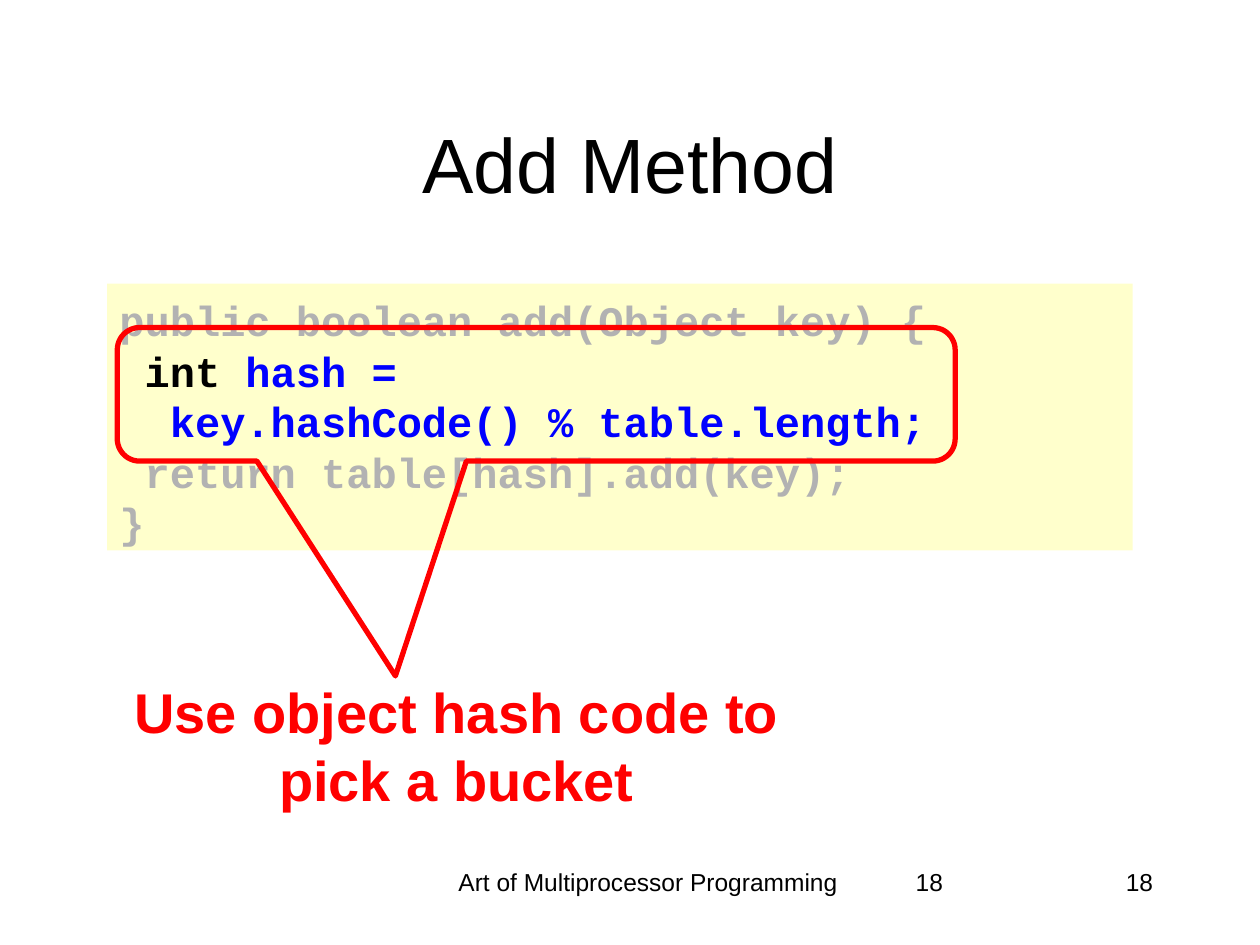
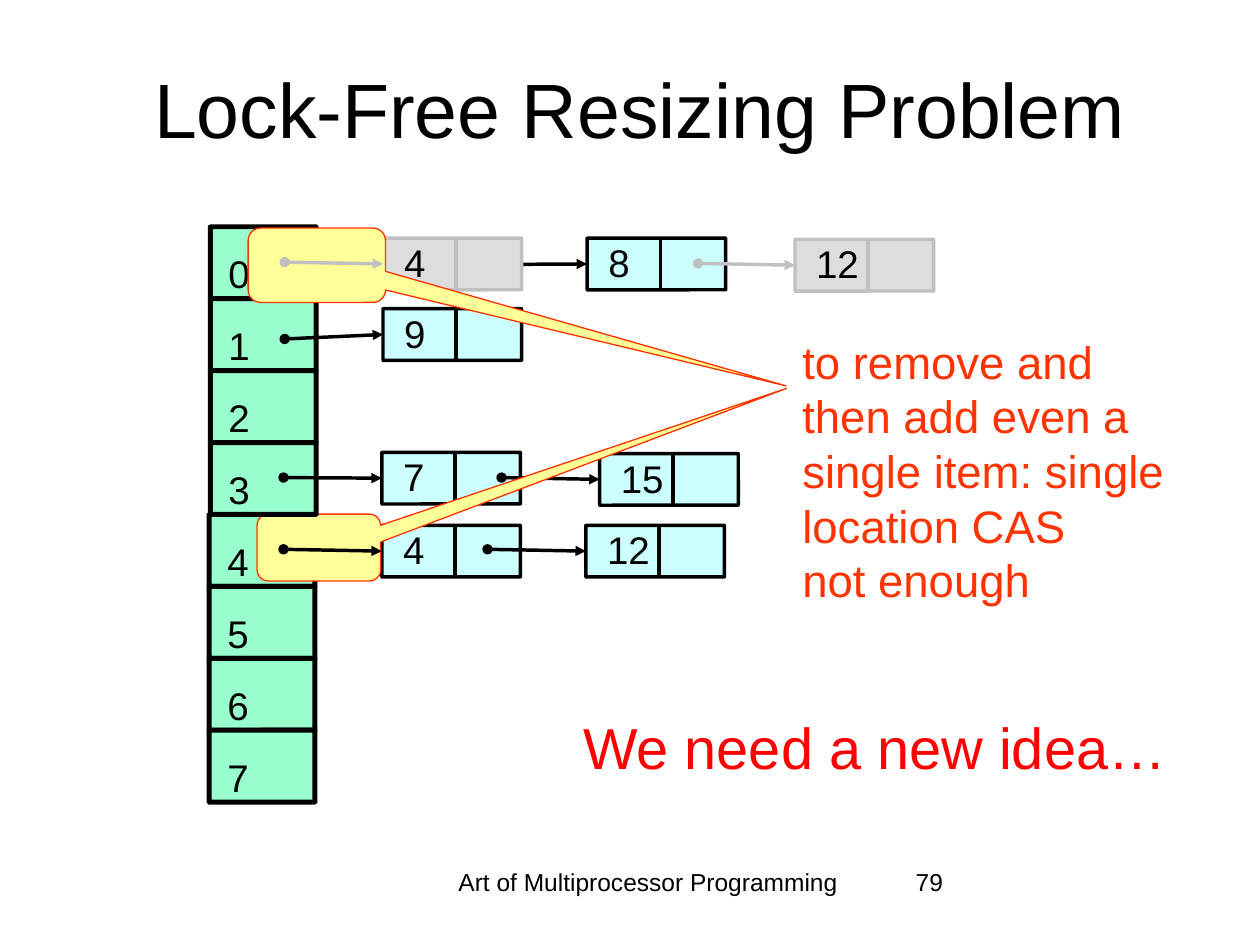
"""Build two lecture slides on hash tables: the add method and lock-free resizing."""
from dataclasses import dataclass

from lxml import etree
from pptx import Presentation
from pptx import util as u
from pptx.dml.color import RGBColor
from pptx.enum import shapes, text
from pptx.oxml.ns import qn


@dataclass(frozen=True)
class Theme:
    sans: str = "Arial"
    mono: str = "Courier New"
    black: str = "000000"
    red: str = "FF0000"
    orange: str = "FF3300"
    blue: str = "0000FF"
    faded: str = "B2B2B2"
    paper: str = "FFFFCC"
    yellow: str = "FFFF99"
    green: str = "99FFCC"
    cyan: str = "CCFFFF"
    ash: str = "DDDDDD"
    gray: str = "C0C0C0"
    title: int = 44
    idea: int = 33
    claim: int = 32
    note: int = 26
    code: int = 24
    label: int = 22
    foot: int = 14
    lead: float = 1.2
    thin: float = 0.75
    wire: float = 1.98
    frame: float = 2.83
    bold: float = 3


T = Theme()
Pt, Kind, Align = u.Pt, shapes.MSO_SHAPE, text.PP_ALIGN
NO_PAD = (0, 0, 0, 0)
PAD = (7.2, 3.6, 7.2, 3.6)

BOOK = "Art of Multiprocessor Programming"
CODE = [
    [("public boolean add(Object key) {", T.faded)],
    [(" ", T.blue), ("int", T.black), (" hash =", T.blue)],
    [("  key.hashCode() % table.length;", T.blue)],
    [(" ", T.blue), ("return table[hash].add(key);", T.faded)],
    [("}", T.faded)],
]
CLAIM = "Use object hash code to pick a bucket"
NOTE = ["to remove and", "then add even a", "single item: single",
        "location CAS", "not enough"]
IDEA = "We need a new idea…"

# name: (left, top, value, is faded, start of the arrow from the node before)
NODES = {
    "seven": (218.2, 258.5, "7", False, None),
    "fifteen": (342.7, 259.2, "15", False, (286.6, 272.9)),
    "four": (218.2, 300.2, "4", False, None),
    "twelve": (334.8, 300.2, "12", False, (278.6, 313.9)),
    "nine": (218.9, 176.4, "9", False, None),
    "eight": (335.5, 136.1, "8", False, (277.9, 151.2)),
    "old four": (218.9, 136.1, "4", True, None),
    "old twelve": (454.3, 136.8, "12", True, (398.9, 150.5)),
}
HEADS = {
    "nine": (162.7, 193.7),
    "seven": (162, 272.9),
    "four": (162, 313.9),
    "old four": (162.7, 149.8),
}
NODE_W, NODE_H, SPLIT = 79.2, 29.5, 41.8
BIN_TOP, BIN_W, BIN_H = 129.6, 60.5, 41.1
LOW = (146.9, 293.8, 70.6, 38.2), (3.785, -2.381, 0.167)
HIGH = (141.8, 130.3, 78.5, 42.5), (3.417, 1.623, 0.167)


def rgb(tone):
    return RGBColor.from_string(tone)


def write(frame, lines, size, font=T.sans, bold=False, align=Align.LEFT,
          lead=None, pad=PAD, wrap=True, anchor=text.MSO_ANCHOR.TOP):
    frame.word_wrap = wrap
    frame.auto_size = text.MSO_AUTO_SIZE.NONE
    frame.vertical_anchor = anchor
    (frame.margin_left, frame.margin_top,
     frame.margin_right, frame.margin_bottom) = map(Pt, pad)
    for i, line in enumerate(lines):
        para = frame.paragraphs[0] if i == 0 else frame.add_paragraph()
        para.alignment = align
        if lead:
            para.line_spacing = lead
        for words, tone in line:
            run = para.add_run()
            run.text = words
            run.font.size, run.font.name = Pt(size), font
            run.font.bold = bold
            run.font.color.rgb = rgb(tone)


def label(slide, area, lines, size, tone=T.black, **style):
    box = slide.shapes.add_textbox(*map(Pt, area))
    write(box.text_frame, [[(line, tone)] for line in lines], size, **style)


def draw(slide, kind, area, fill=None, line=None, width=0, bends=()):
    shape = slide.shapes.add_shape(kind, *map(Pt, area))
    shape.shadow.inherit = False
    for i, bend in enumerate(bends):
        shape.adjustments[i] = bend
    if fill:
        shape.fill.solid()
        shape.fill.fore_color.rgb = rgb(fill)
    else:
        shape.fill.background()
    if line:
        shape.line.color.rgb = rgb(line)
        shape.line.width = Pt(width)
    else:
        shape.line.fill.background()
    return shape


def wire(slide, start, end, tone):
    link = slide.shapes.add_connector(
        shapes.MSO_CONNECTOR.STRAIGHT, *map(Pt, start + end))
    link.line.color.rgb = rgb(tone)
    link.line.width = Pt(T.wire)
    etree.SubElement(link._element.spPr, qn("a:effectLst"))
    return link


def arrow(slide, start, node, tone):
    end = node.left.pt, node.top.pt + NODE_H / 2
    link = wire(slide, start, end, tone)
    link.end_connect(node, 1)
    pen = link.line._get_or_add_ln()
    for tag, tip in (("a:headEnd", "oval"), ("a:tailEnd", "triangle")):
        etree.SubElement(pen, qn(tag), type=tip)


def start_slide(deck, title, area, number, pad=PAD):
    slide = deck.slides.add_slide(deck.slide_layouts[5])
    head = slide.shapes.title
    head.left, head.top, head.width, head.height = map(Pt, area)
    write(head.text_frame, [[(title, T.black)]], T.title, align=Align.CENTER,
          pad=pad, anchor=text.MSO_ANCHOR.MIDDLE)
    label(slide, (246.2, 491.8, 248.4, 36), [BOOK], T.foot, align=Align.CENTER)
    page(slide, number, Align.LEFT)
    return slide


def page(slide, number, align):
    label(slide, (516.2, 491.8, 149.8, 36), [number], T.foot, align=align)


def add_node(slide, left, top, value, faded, start):
    fill, tone = (T.ash, T.gray) if faded else (T.cyan, T.black)
    node = draw(slide, Kind.ROUNDED_RECTANGLE, (left, top, NODE_W, NODE_H),
                fill, tone, T.wire, [0.004])
    mid = left + SPLIT
    wire(slide, (mid, top + 0.4), (mid, top + NODE_H - 0.4), tone)
    label(slide, (left + 5, top - 2.9, 13 + 12.2 * len(value), 33.1),
          [value], T.label, wrap=False)
    if start:
        arrow(slide, start, node, tone)
    return node


def add_bins(slide, first, left):
    for i in range(first, first + 4):
        top = BIN_TOP + i * BIN_H
        draw(slide, Kind.ROUNDED_RECTANGLE, (left, top, BIN_W, BIN_H),
             T.green, T.black, T.frame, [0.003])
        tag = draw(slide, Kind.RECTANGLE, (left + 10.4, top + 9.5, 12.2, 28.1),
                   T.green)
        write(tag.text_frame, [[(str(i), T.black)]], T.label,
              lead=1.15, pad=NO_PAD, wrap=False)


def callout(slide, area, bends):
    draw(slide, Kind.ROUNDED_RECTANGULAR_CALLOUT, area,
         T.yellow, T.orange, T.thin, bends)


def add_method(deck):
    slide = start_slide(deck, "Add Method", (54, 48.2, 612, 90), "18")
    page(slide, "18", Align.RIGHT)
    panel = draw(slide, Kind.RECTANGLE, (61.2, 162, 586.1, 152.6), T.paper)
    write(panel.text_frame, CODE, T.code, font=T.mono, bold=True,
          lead=Pt(T.code * T.lead), pad=(7.2, 6.5, 7.2, 0))
    draw(slide, Kind.ROUNDED_RECTANGULAR_CALLOUT, (67, 187.2, 478.8, 76.3),
         None, T.red, T.bold, (-0.168, 2.109, 0.167))
    label(slide, (56.9, 383.8, 408.2, 84.2), [CLAIM], T.claim, T.red,
          bold=True, align=Align.CENTER, lead=Pt(T.claim * T.lead))


def resizing(deck):
    slide = start_slide(deck, "Lock-Free Resizing Problem",
                        (59.8, 16.6, 612, 90), "79", NO_PAD)
    nodes = {name: add_node(slide, *node) for name, node in NODES.items()}
    add_bins(slide, 4, 119.5)
    callout(slide, *LOW)
    add_bins(slide, 0, 120.2)
    callout(slide, *HIGH)
    for name, start in HEADS.items():
        tone = T.gray if NODES[name][3] else T.black
        arrow(slide, start, nodes[name], tone)
    label(slide, (451.4, 187.2, 221.8, 164.2), NOTE, T.note, T.orange,
          wrap=False, lead=Pt(T.note * T.lead))
    label(slide, (326.2, 403.2, 349.9, 46.8), [IDEA], T.idea, T.red, wrap=False)


def main():
    deck = Presentation()
    deck.slide_width, deck.slide_height = Pt(720), Pt(540)
    add_method(deck)
    resizing(deck)
    deck.save("out.pptx")


if __name__ == "__main__":
    main()
